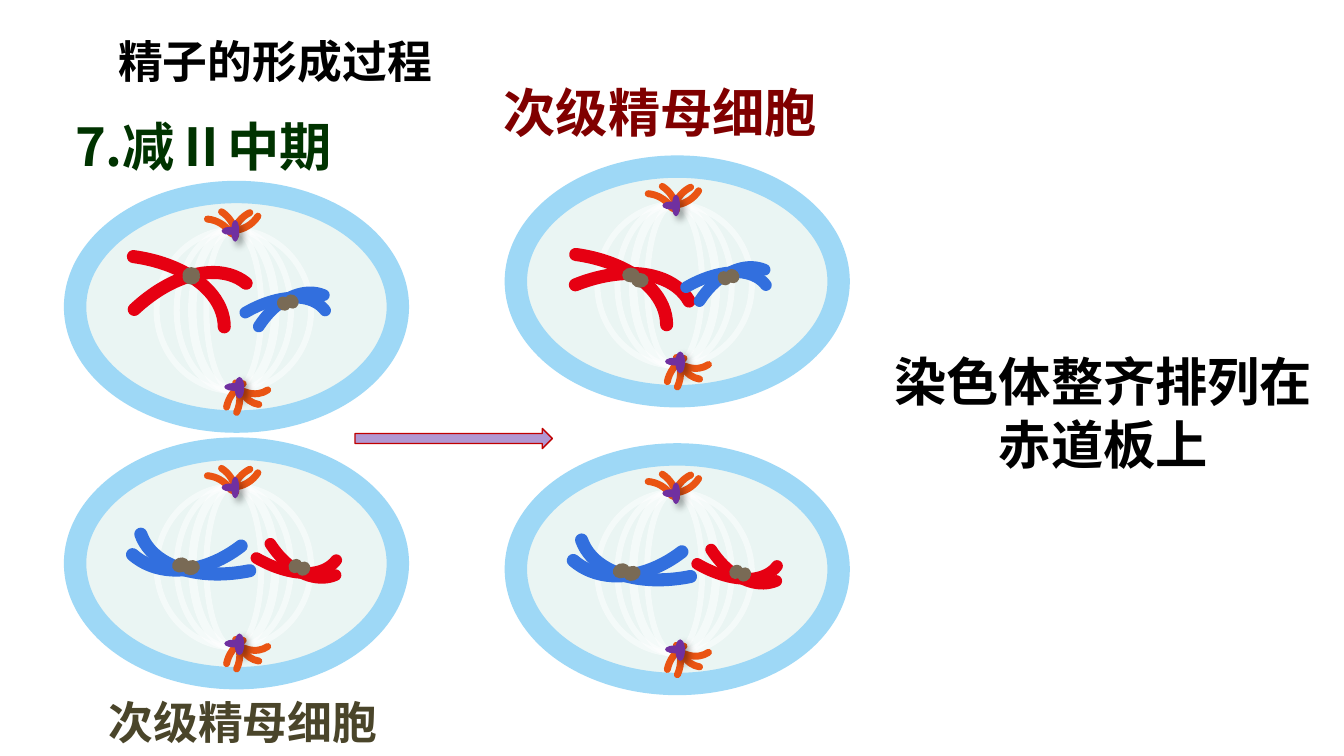
from dataclasses import dataclass

from lxml import etree
from pptx import Presentation
from pptx import util as u
from pptx.dml.color import RGBColor
from pptx.enum import shapes, text
from pptx.oxml.ns import qn

FONT = "Noto Sans CJK SC"
COLORS = {
    "black": "000000", "green": "003300", "olive": "4A452A", "maroon": "800000",
    "arrow": "B197D2", "arrow_edge": "C00000",
    "cytoplasm": "EAF5F3", "membrane": "9ED8F6", "spindle": "FFFFFF",
    "aster": "EA5413", "centriole": "7030A0", "centromere": "796A55",
    "red": "E60012", "blue": "326FDE",
}
ASTER_ANGLES = (275.44, 327.24)
ARM_ANGLES = (289.39, 0)

# Offsets and sizes are in cm from the top left corner of a cell.
SPINDLE_CENTRE = 3.0
SPINDLE_FIBRES = [(2.92, 3.25), (2.16, 3.25), (1.57, 4.5), (1.04, 3.25)]
ASTER_RAYS = [  # left, top, width, height, rotation, flip
    (2.84, 2.74, 0.91, 1.12, 316.5, "hv"),
    (3.07, 2.90, 0.91, 1.12, 0, "hv"),
    (1.88, 3.30, 1.19, 1.32, 52.4, ""),
    (2.84, 3.53, 1.32, 1.19, 332.7, "h"),
    (1.85, 0.51, 1.19, 1.19, 0, ""),
    (1.85, 0.28, 1.19, 1.19, 27.3, ""),
    (2.97, 0.33, 1.19, 1.19, 339.4, "h"),
    (2.36, -0.46, 1.19, 1.19, 0, "v"),
]
CENTRIOLES = [  # left, top, width, height, rotation
    (2.90, 3.61, 0.41, 0.18, 90), (2.82, 3.61, 0.36, 0.15, 0),
    (2.82, 0.66, 0.41, 0.15, 90), (2.77, 0.66, 0.30, 0.15, 0),
]


@dataclass
class Chromosome:
    color: str
    weight: float
    arms: list  # left, top, width, height, rotation
    centromeres: list  # left, top
    dot_size: tuple
    tilt: float = 0
    flip: str = ""


def long_red(arms, centromeres):
    return Chromosome("red", 7, arms, centromeres, (0.33, 0.28))


LONG_BLUE = Chromosome(
    "blue", 7, [(1.12, -0.46, 4.37, 2.72, 340.8), (0.41, -0.97, 3.96, 2.97, 311.2)],
    [(2.03, 2.11), (1.83, 2.06)], (0.33, 0.28), 340.8, "hv")
SHORT_RED = Chromosome(
    "red", 6.25, [(2.18, 0.28, 3.07, 1.80, 37.3), (3.05, 0.23, 2.69, 1.85, 66.9)],
    [(4.19, 2.13), (4.04, 2.08)], (0.25, 0.28), 37.3, "v")
SHORT_BLUE = Chromosome(
    "blue", 6.25, [(1.97, 2.27, 3.07, 1.80, 322.7), (2.83, 2.26, 2.69, 1.85, 293.1)],
    [(3.97, 1.93), (3.82, 1.97)], (0.25, 0.28), 322.7)
WIDE_RED = long_red([(-1.55, 1.19, 4.37, 2.72, 0), (-0.33, 2.06, 4.37, 2.72, 309.1)],
                    [(2.03, 1.42), (2.03, 1.47)])
NARROW_RED = long_red([(-1.52, 1.63, 4.37, 2.72, 0), (-0.81, 2.26, 4.37, 2.72, 330.4)],
                      [(2.01, 1.91), (2.18, 2.01)])

CELLS = [  # left, top, chromosomes
    (1.42, 8.48, (LONG_BLUE, SHORT_RED)),
    (1.42, 3.63, (WIDE_RED, SHORT_BLUE)),
    (9.75, 3.15, (NARROW_RED, SHORT_BLUE)),
    (9.75, 8.59, (LONG_BLUE, SHORT_RED)),
]


def rgb(name):
    return RGBColor.from_string(COLORS[name])


def add_figure(parent, kind, place, fill=None, line=None, weight=0, rotation=0, flip=""):
    figure = parent.add_shape(kind, *(u.Cm(length) for length in place))
    figure.shadow.inherit = False
    figure.rotation = rotation
    for axis in flip:
        figure.element.spPr.find(qn("a:xfrm")).set("flip" + axis.upper(), "1")
    if fill:
        figure.fill.solid()
        figure.fill.fore_color.rgb = rgb(fill)
    else:
        figure.fill.background()
    if line:
        figure.line.color.rgb = rgb(line)
        figure.line.width = u.Pt(weight)
    else:
        figure.line.fill.background()
    return figure


def add_ellipse(parent, place, **style):
    return add_figure(parent, shapes.MSO_SHAPE.OVAL, place, **style)


def add_arc(parent, place, angles, **style):
    """Draw a round-ended arc between two angles in degrees."""
    arc = add_figure(parent, shapes.MSO_SHAPE.ARC, place, **style)
    for index, angle in enumerate(angles):
        arc.adjustments[index] = angle * 0.6
    arc.element.spPr.find(qn("a:ln")).set("cap", "rnd")


def add_alpha(color, percent):
    etree.SubElement(color, qn("a:alpha")).set("val", str(percent * 1000))


def add_shadow(figure):
    effects = figure.element.spPr.find(qn("a:effectLst"))
    shadow = etree.SubElement(effects, qn("a:outerShdw"), blurRad=str(u.Pt(4)),
                              dist=str(u.Pt(3)), dir="2700000", rotWithShape="0")
    color = etree.SubElement(shadow, qn("a:srgbClr"), val=COLORS["black"])
    add_alpha(color, 40)


def add_chromosome(parent, left, top, chromosome):
    for x, y, width, height, rotation in chromosome.arms:
        add_arc(parent, (left + x, top + y, width, height), ARM_ANGLES,
                line=chromosome.color, weight=chromosome.weight,
                rotation=rotation, flip=chromosome.flip)
    for x, y in chromosome.centromeres:
        add_ellipse(parent, (left + x, top + y, *chromosome.dot_size),
                    fill="centromere", rotation=chromosome.tilt)


def add_cell(slide, left, top, chromosomes):
    parts = slide.shapes.add_group_shape().shapes
    add_ellipse(parts, (left, top, 6.1, 4.34),
                fill="cytoplasm", line="membrane", weight=12)
    for width, weight in SPINDLE_FIBRES:
        x = left + SPINDLE_CENTRE - width / 2
        fibre = add_ellipse(parts, (x, top + 0.71, width, 3.05),
                            line="spindle", weight=weight)
        add_alpha(fibre.element.spPr.find(".//" + qn("a:srgbClr")), 50)
    for x, y, width, height, rotation, flip in ASTER_RAYS:
        add_arc(parts, (left + x, top + y, width, height), ASTER_ANGLES,
                line="aster", weight=3.75, rotation=rotation, flip=flip)
    for x, y, width, height, rotation in CENTRIOLES:
        centriole = add_ellipse(parts, (left + x, top + y, width, height),
                                fill="centriole", rotation=rotation)
        if rotation:
            add_shadow(centriole)
    for chromosome in chromosomes:
        add_chromosome(parts, left, top, chromosome)


def write_text(box, place, words, size, color, align=text.PP_ALIGN.LEFT):
    box.left, box.top, box.width, box.height = (u.Cm(length) for length in place)
    frame = box.text_frame
    frame.text = words
    frame.word_wrap = True
    frame.auto_size = text.MSO_AUTO_SIZE.NONE
    frame.vertical_anchor = text.MSO_ANCHOR.TOP
    para = frame.paragraphs[0]
    para.alignment = align
    span = para.runs[0]
    span.font.name = FONT
    span.font.size = u.Pt(size)
    span.font.bold = True
    span.font.color.rgb = rgb(color)
    etree.SubElement(span.font._element, qn("a:ea"), typeface=FONT)


def add_label(slide, *content, **style):
    write_text(slide.shapes.add_textbox(0, 0, 0, 0), *content, **style)


def main():
    deck = Presentation()
    deck.slide_width, deck.slide_height = u.Cm(25.4), u.Cm(14.29)
    slide = deck.slides.add_slide(deck.slide_layouts[5])
    write_text(slide.shapes.title, (1.98, 0.51, 7.52, 1.27), "精子的形成过程", 24, "black")
    add_label(slide, (1.17, 2.03, 5.94, 1.45), "7.减Ⅱ中期", 28, "green")
    add_label(slide, (1.8, 13, 6.5, 1.27), "次级精母细胞", 24, "olive")
    add_label(slide, (9.27, 1.4, 6.5, 1.45), "次级精母细胞", 28, "maroon")
    add_label(slide, (16.61, 6.48, 8.48, 2.64), "染色体整齐排列在赤道板上", 28, "black",
              align=text.PP_ALIGN.CENTER)
    add_figure(slide.shapes, shapes.MSO_SHAPE.RIGHT_ARROW, (6.71, 8.1, 3.73, 0.38),
               fill="arrow", line="arrow_edge", weight=0.75)
    for left, top, chromosomes in CELLS:
        add_cell(slide, left, top, chromosomes)
    deck.save("out.pptx")


if __name__ == "__main__":
    main()
